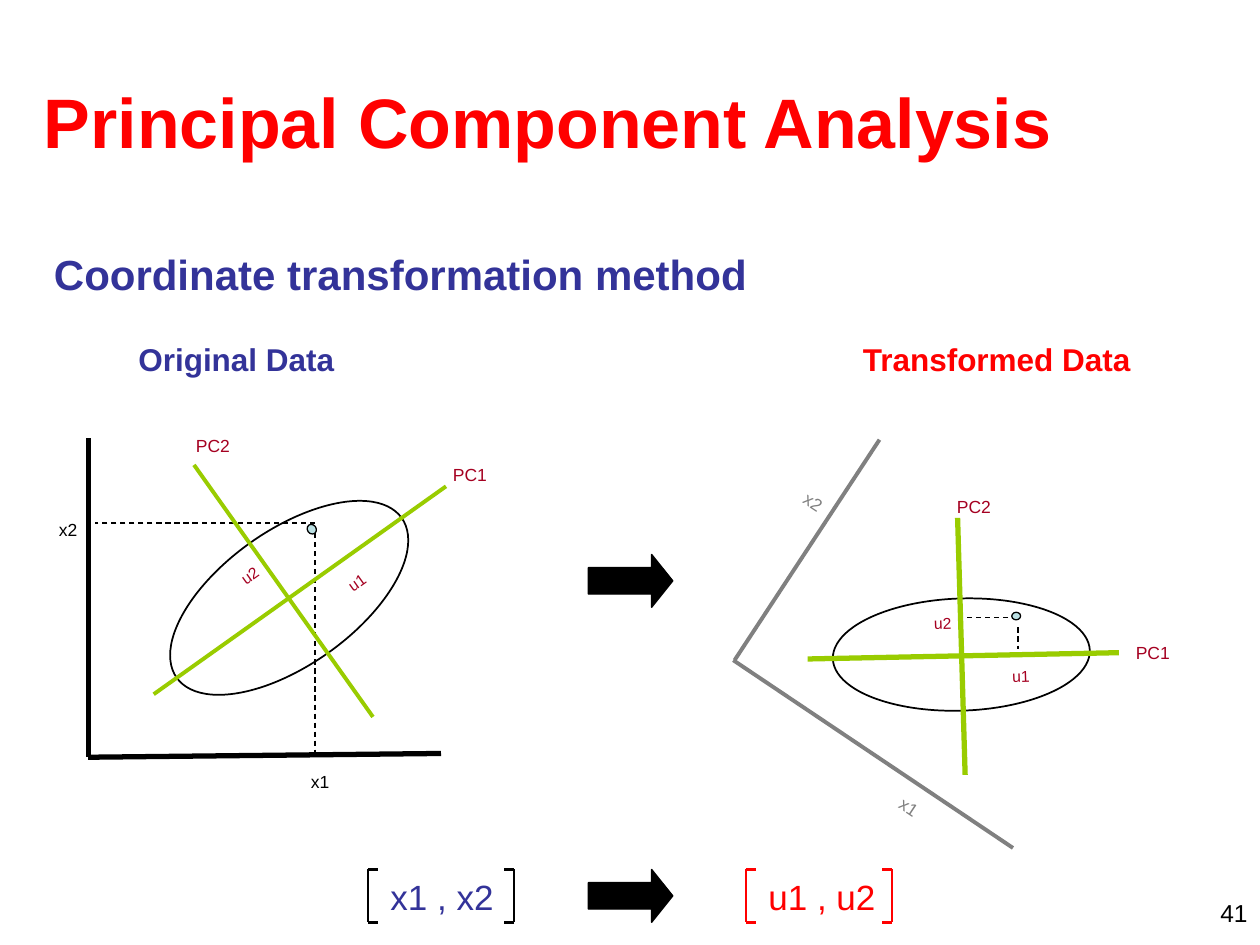
from pptx import Presentation
from pptx.dml.color import RGBColor
from pptx.enum.dml import MSO_LINE
from pptx.enum.shapes import MSO_CONNECTOR, MSO_SHAPE
from pptx.enum.text import MSO_ANCHOR, PP_ALIGN
from pptx.oxml.ns import qn
from pptx.util import Inches, Pt
from lxml import etree

STRAIGHT = MSO_CONNECTOR.STRAIGHT
OVAL, ARROW = MSO_SHAPE.OVAL, MSO_SHAPE.RIGHT_ARROW
DASH = MSO_LINE.DASH
TOP, MIDDLE = MSO_ANCHOR.TOP, MSO_ANCHOR.MIDDLE
LEFT, CENTER, RIGHT = PP_ALIGN.LEFT, PP_ALIGN.CENTER, PP_ALIGN.RIGHT

THEME = {
    "font": "Arial",
    "black": "000000", "red": "FF0000", "blue": "333399", "crimson": "A50021",
    "green": "99CC00", "gray": "808080", "point": "BBE0E3",
    "title": 40, "subtitle": 24, "heading": 18, "vector": 20,
    "number": 14, "label": 10, "score": 9,
}

TILT, LEVEL, AXIS_TILT = 324.6, 358.1, 33.5

HEADINGS = [
    ("Principal Component Analysis", (0.25, 0.33, 9.67, 1.25),
     dict(size="title", color="red", bold=True, anchor=MIDDLE)),
    ("Coordinate transformation method", (0.33, 1.92, 8.67, 0.5),
     dict(size="subtitle", color="blue", bold=True)),
    ("Original Data", (1, 2.65, 2, 0.4),
     dict(size="heading", color="blue", bold=True)),
    ("Transformed Data", (6.75, 2.65, 2.5, 0.4),
     dict(size="heading", color="red", bold=True)),
    ("41", (7.67, 7.08, 2.33, 0.25),
     dict(size="number", color="black", align=RIGHT)),
]

PROJECTIONS = [
    (2.5, 4.23, 2.5, 5.98), (2.5, 4.15, 0.75, 4.15),
    (8, 4.9, 7.67, 4.9), (8.08, 4.98, 8.08, 5.15),
]
CLOUDS = [((1.2, 4.21, 2.19, 1.07), TILT), ((6.61, 4.75, 2.04, 0.89), LEVEL)]
AXES = [
    ((0.7, 3.48, 0.7, 6.01), "black", 3),
    ((0.7, 6.01, 3.5, 5.98), "black", 3),
    ((1.22, 5.51, 3.54, 3.86), "green", 2.25),
    ((1.54, 3.69, 2.96, 5.69), "green", 2.25),
    ((6.98, 3.49, 5.83, 5.24), "gray", 2.25),
    ((5.82, 5.24, 8.04, 6.73), "gray", 2.25),
    ((7.6, 4.11, 7.66, 6.15), "green", 3),
    ((6.41, 5.23, 8.88, 5.18), "green", 3),
]
POINTS = [((2.44, 4.16, 0.07, 0.08), TILT), ((8.03, 4.86, 0.07, 0.06), LEVEL)]
LABEL_W = 0.6
LABELS = [
    ("x1", (2.54, 6.07, 0.17), "label", "black", 0),
    ("x2", (0.54, 4.07, 0.17), "label", "black", 0),
    ("u1", (2.8, 4.51, 0.14), "score", "crimson", TILT),
    ("u2", (1.95, 4.45, 0.14), "score", "crimson", TILT),
    ("PC1", (3.73, 3.63, 0.15), "label", "crimson", 0),
    ("PC2", (1.69, 3.4, 0.15), "label", "crimson", 0),
    ("x1", (7.25, 6.28, 0.14), "label", "gray", AXIS_TILT),
    ("x2", (6.49, 3.86, 0.14), "label", "gray", AXIS_TILT),
    ("u1", (8.1, 5.24, 0.12), "score", "crimson", LEVEL),
    ("u2", (7.48, 4.82, 0.12), "score", "crimson", LEVEL),
    ("PC1", (9.15, 5.05, 0.13), "label", "crimson", 0),
    ("PC2", (7.73, 3.89, 0.13), "label", "crimson", 0),
]
ARROW_TOPS = [4.4, 6.9]
VECTORS = [("x1 , x2", 2.92, 1.25, "blue", "black"),
           ("u1 , u2", 5.92, 1.08, "red", "red")]
VECTOR_TOP, BRACKET_W, BRACKET_H, BRACKET_LIP = 6.9, 1.16, 0.42, 0.08


def rgb(name):
    return RGBColor.from_string(THEME[name])


def add_text(shapes, text, box, *, size, color, bold=False, align=LEFT,
             anchor=TOP, rotation=0):
    tb = shapes.add_textbox(*map(Inches, box))
    tb.rotation = rotation
    tf = tb.text_frame
    tf.word_wrap = True
    tf.vertical_anchor = anchor
    p = tf.paragraphs[0]
    p.alignment = align
    r = p.add_run()
    r.text = text
    r.font.name = THEME["font"]
    r.font.size = Pt(THEME[size])
    r.font.bold = bold
    r.font.color.rgb = rgb(color)


def add_line(shapes, ends, color, width, dash=None):
    cx = shapes.add_connector(STRAIGHT, *map(Inches, ends))
    cx.line.color.rgb = rgb(color)
    cx.line.width = Pt(width)
    if dash:
        cx.line.dash_style = dash
    etree.SubElement(cx._element.spPr, qn("a:effectLst"))


def add_figure(shapes, kind, box, fill=None, width=0.75, rotation=0):
    sp = shapes.add_shape(kind, *map(Inches, box))
    sp.shadow.inherit = False
    sp.rotation = rotation
    if fill:
        sp.fill.solid()
        sp.fill.fore_color.rgb = rgb(fill)
    else:
        sp.fill.background()
    sp.line.color.rgb = rgb("black")
    sp.line.width = Pt(width)
    return sp


def add_vector(shapes, text, left, width, color, bracket_color):
    group = shapes.add_group_shape().shapes
    add_text(group, text, (left + BRACKET_LIP, VECTOR_TOP, width, 0.44),
             size="vector", color=color)
    bottom = VECTOR_TOP + BRACKET_H
    for x, lip in ((left, BRACKET_LIP), (left + BRACKET_W, -BRACKET_LIP)):
        add_line(group, (x, VECTOR_TOP, x, bottom), bracket_color, 1.5)
        for y in (VECTOR_TOP, bottom):
            add_line(group, (x, y, x + lip, y), bracket_color, 1.5)


def main():
    prs = Presentation()
    prs.slide_width, prs.slide_height = Inches(10), Inches(7.5)
    s = prs.slides.add_slide(prs.slide_layouts[6])
    shapes = s.shapes

    for text, box, style in HEADINGS:
        add_text(shapes, text, box, **style)
    for ends in PROJECTIONS:
        add_line(shapes, ends, "black", 0.75, DASH)
    for box, rotation in CLOUDS:
        add_figure(shapes, OVAL, box, width=1, rotation=rotation)
    for ends, color, width in AXES:
        add_line(shapes, ends, color, width)
    for box, rotation in POINTS:
        add_figure(shapes, OVAL, box, fill="point", rotation=rotation)
    for text, (center, top, height), size, color, rotation in LABELS:
        add_text(shapes, text, (center - LABEL_W / 2, top, LABEL_W, height),
                 size=size, color=color, align=CENTER, rotation=rotation)
    for top in ARROW_TOPS:
        arrow = add_figure(shapes, ARROW, (4.67, top, 0.67, 0.42), fill="black")
        arrow.adjustments[0] = 0.5
        arrow.adjustments[1] = 0.4
    for vector in VECTORS:
        add_vector(shapes, *vector)

    prs.save("out.pptx")


if __name__ == "__main__":
    main()
